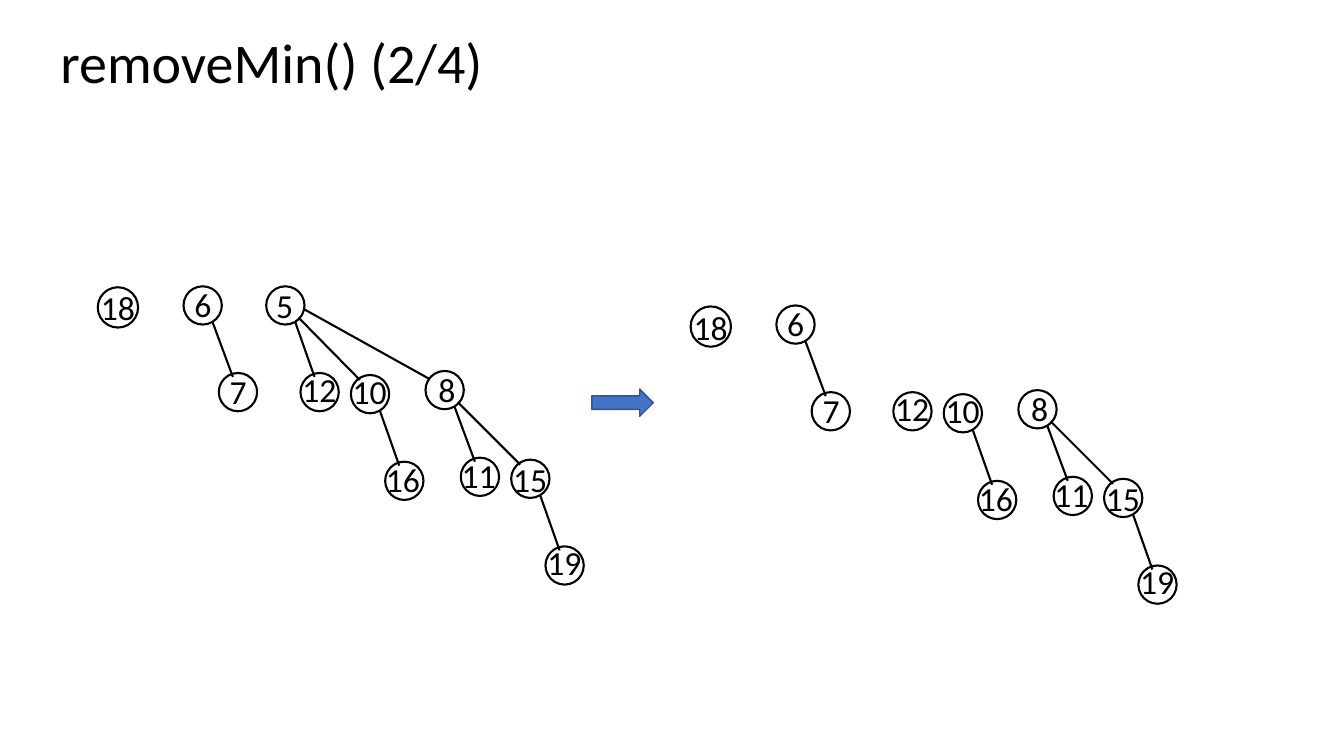
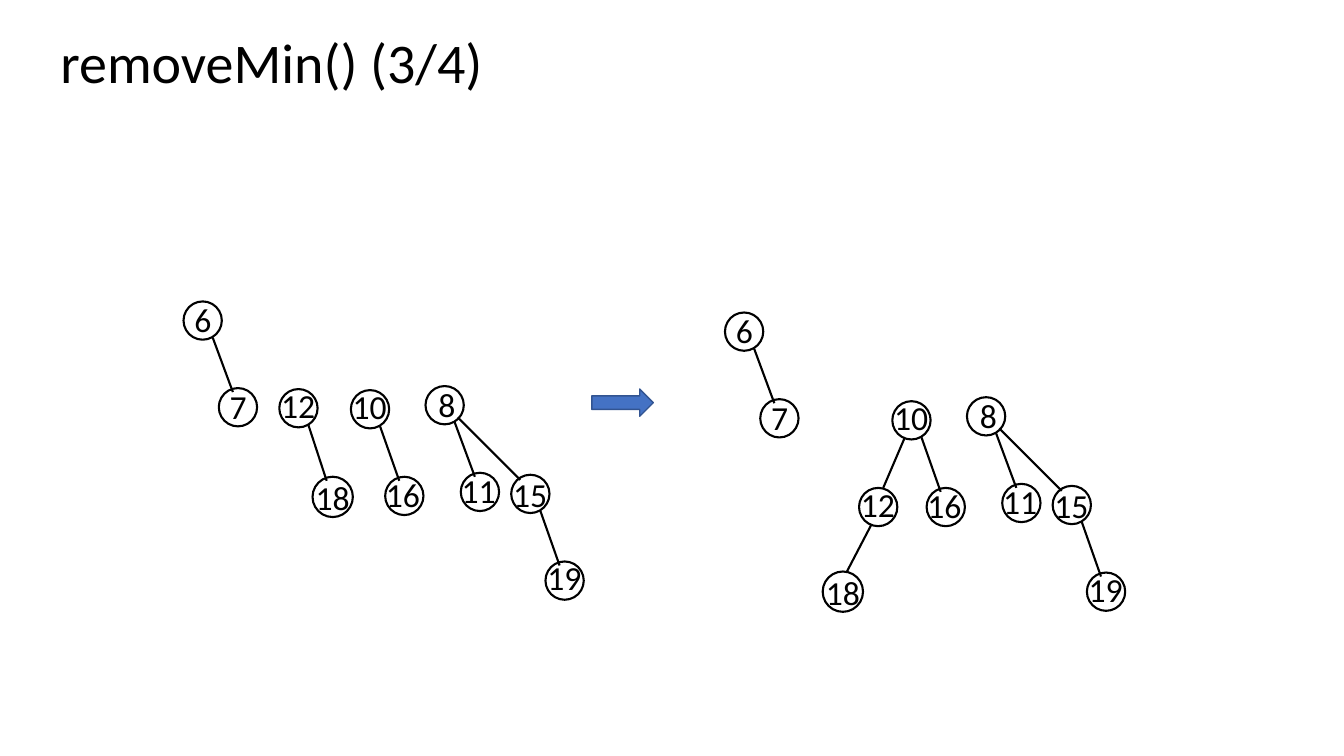
from pptx import Presentation, util as u
from pptx.dml.color import RGBColor
from pptx.enum import shapes, text
from pptx.oxml import ns
from lxml import etree

NODE_SPOTS = {
    18: (0.97, 2.85), 6: (1.82, 2.84), 7: (2.17, 3.70), 5: (2.64, 2.84),
    12: (2.98, 3.70), 10: (3.48, 3.72), 16: (3.82, 4.58), 8: (4.22, 3.68),
    11: (4.57, 4.54), 15: (5.07, 4.56), 19: (5.41, 5.42),
}
LABEL_NUDGES = {
    6: (0.01, -0.07), 7: (0.01, -0.07), 5: (0, -0.06), 8: (0.03, -0.07),
    16: (-0.09, -0.08), 11: (-0.09, -0.08), 15: (-0.08, -0.06),
}
EDGE_ENDS = [
    (0, (0.12, 0.37), (0.24, 0)),
    (0.5, (0.29, 0.36), (0.14, 0.04)),
    (1, (0.32, 0.31), (0.09, 0.05)),
    (2, (0.38, 0.23), (0.04, 0.08)),
]
KEPT_EDGES = [(6, 7), (10, 16), (8, 11), (8, 15), (15, 19)]


def rgb(hex_code):
    return RGBColor.from_string(hex_code)


class Deck:
    font, ink, arrow_fill, arrow_line = "Calibri", "000000", "4472C4", "325491"
    title_size, node_size, stroke = 40, 24, 1.5

    def __init__(self):
        self.show = Presentation()
        self.show.slide_width = u.Inches(13.33)
        self.show.slide_height = u.Inches(7.5)

    def letter(self, frame, words, size):
        frame.text = words
        style = frame.paragraphs[0].runs[0].font
        style.name, style.size = self.font, u.Pt(size)
        style.color.rgb = rgb(self.ink)
        return frame.paragraphs[0]

    def page(self, heading):
        self.slide = self.show.slides.add_slide(self.show.slide_layouts[5])
        title = self.slide.shapes.title
        title.left, title.top = u.Inches(0.5), u.Inches(0.3)
        title.width, title.height = u.Inches(11.87), u.Inches(1.25)
        line = self.letter(title.text_frame, heading, self.title_size)
        line.alignment = text.PP_ALIGN.LEFT
        line.line_spacing = 0.9
        title.text_frame.vertical_anchor = text.MSO_ANCHOR.TOP
        title.text_frame.auto_size = text.MSO_AUTO_SIZE.NONE

    def outline(self, item, color, width):
        item.line.color.rgb = rgb(color)
        item.line.width = u.Pt(width)

    def preset(self, kind, *box):
        item = self.slide.shapes.add_shape(kind, *map(u.Inches, box))
        item.shadow.inherit = False
        return item

    def arrow(self):
        step = self.preset(shapes.MSO_SHAPE.RIGHT_ARROW, 5.87, 3.86, 0.61, 0.27)
        step.fill.solid()
        step.fill.fore_color.rgb = rgb(self.arrow_fill)
        self.outline(step, self.arrow_line, 1)

    def node(self, key, x, y):
        side = 0.4 if key == 18 else 0.38
        circle = self.preset(shapes.MSO_SHAPE.OVAL, x, y, side, side)
        circle.fill.background()
        self.outline(circle, self.ink, self.stroke)
        if key == 18:
            number = self.letter(circle.text_frame, str(key), self.node_size)
            number.alignment = text.PP_ALIGN.CENTER
            circle.text_frame.vertical_anchor = text.MSO_ANCHOR.MIDDLE
            circle.text_frame.word_wrap = False
        else:
            self.label(key, x, y)

    def label(self, key, x, y):
        dx, dy = LABEL_NUDGES.get(key, (-0.08, -0.09))
        width = 0.37 if key < 10 else 0.54
        box = (x + dx, y + dy, width, 0.5)
        frame = self.slide.shapes.add_textbox(*map(u.Inches, box)).text_frame
        frame.word_wrap = False
        frame.auto_size = text.MSO_AUTO_SIZE.SHAPE_TO_FIT_TEXT
        self.letter(frame, str(key), self.node_size)

    def edge(self, parent, child):
        gap = child[0] - parent[0]
        start, end = next(ends for limit, *ends in EDGE_ENDS if gap < limit)
        points = (parent[0] + start[0], parent[1] + start[1],
                  child[0] + end[0], child[1] + end[1])
        branch = self.slide.shapes.add_connector(
            shapes.MSO_CONNECTOR.STRAIGHT, *map(u.Inches, points))
        self.outline(branch, self.ink, self.stroke)
        etree.SubElement(branch._element.spPr, ns.qn("a:effectLst"))

    def heap(self, shift, edges, moved=None, removed=()):
        spots = {key: (x + shift[0], y + shift[1])
                 for key, (x, y) in {**NODE_SPOTS, **(moved or {})}.items()
                 if key not in removed}
        for parent, child in KEPT_EDGES + edges:
            self.edge(spots[parent], spots[child])
        for key, spot in spots.items():
            self.node(key, *spot)


deck = Deck()

deck.page("removeMin() (2/4)")
deck.heap((0, 0), [(5, 12), (5, 10), (5, 8)])
deck.arrow()
deck.heap((5.88, 0.19), [], removed=(5,))

deck.page("removeMin() (3/4)")
deck.heap((0, 0.15), [(12, 18)],
          moved={12: (2.77, 3.71), 18: (3.10, 4.58)}, removed=(5,))
deck.arrow()
deck.heap((5.37, 0.26), [(10, 12), (12, 18)],
          moved={12: (3.15, 4.58), 18: (2.79, 5.41)}, removed=(5,))

deck.show.save("out.pptx")
